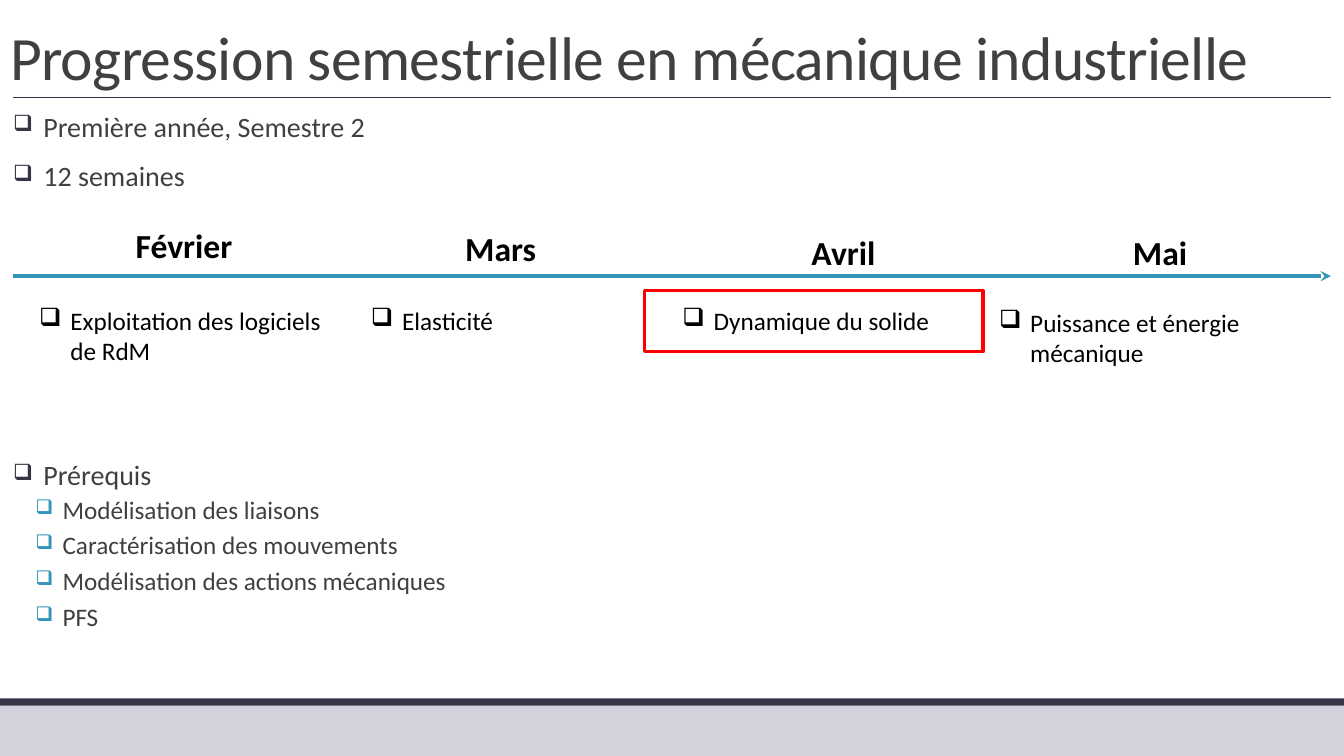
import pptx
import pptx.util
import pptx.dml.color
import pptx.enum.shapes
import pptx.enum.text
import pptx.oxml.ns
from dataclasses import dataclass
from lxml import etree

Inches = pptx.util.Inches
Pt = pptx.util.Pt
Align = pptx.enum.text.PP_ALIGN
Anchor = pptx.enum.text.MSO_ANCHOR
qn = pptx.oxml.ns.qn


@dataclass(frozen=True)
class Theme:
    font: str = "Calibri"
    dark: str = "373545"
    pale: str = "D4D3DD"
    accent: str = "3494BA"
    text: str = "404040"
    black: str = "000000"
    highlight: str = "FF0000"
    title_size: int = 44
    month_size: int = 24
    body_size: int = 20
    small_size: int = 18


THEME = Theme()
LEFT, RIGHT, WIDTH = 0.13, 13.2, 13.33
MONTH_WIDTH, TOPIC_WIDTH = 3.39, 3.08

# Month, its left and top, then its topic with left, top and height
MONTHS = [
    ("Février", 0.13, 2.18, "Exploitation des logiciels de RdM", 0.29, 2.98, 0.71),
    ("Mars", 3.27, 2.21, "Elasticité", 3.58, 2.98, 0.4),
    ("Avril", 6.67, 2.25, "Dynamique du solide", 6.67, 2.98, 0.4),
    ("Mai", 9.81, 2.25, "Puissance et énergie mécanique", 9.81, 3.0, 0.71),
]
PREREQUISITES = [
    "Modélisation des liaisons",
    "Caractérisation des mouvements",
    "Modélisation des actions mécaniques",
    "PFS",
]


def color(code):
    return pptx.dml.color.RGBColor.from_string(code)


def add_span(para, text, size, code, bold=False):
    span = para.add_run()
    span.text = text
    span.font.name = THEME.font
    span.font.size = Pt(size)
    span.font.bold = bold
    span.font.color.rgb = color(code)
    return span


def set_bullet(para, margin, hanging, code, percent=100):
    properties = para._p.get_or_add_pPr()
    properties.set("marL", str(Inches(margin)))
    properties.set("indent", str(-Inches(hanging)))
    bullet_color = etree.SubElement(properties, qn("a:buClr"))
    etree.SubElement(bullet_color, qn("a:srgbClr")).set("val", code)
    etree.SubElement(properties, qn("a:buSzPct")).set("val", str(percent * 1000))
    etree.SubElement(properties, qn("a:buChar")).set("char", "❑")


def add_text_box(page, left, top, width, height):
    frame = page.shapes.add_textbox(
        Inches(left), Inches(top), Inches(width), Inches(height)).text_frame
    frame.word_wrap = True
    return frame


def add_outline(page, top, height, items):
    """Add a bulleted list of (level, text) pairs."""
    frame = add_text_box(page, LEFT, top, 13.08, height)
    frame.margin_left = frame.margin_right = 0
    for index, (level, text) in enumerate(items):
        para = frame.add_paragraph() if index else frame.paragraphs[0]
        para.level = level
        para.line_spacing = 0.9
        if level:
            para.space_before, para.space_after = Pt(2), Pt(4)
            set_bullet(para, 0.49, 0.27, THEME.accent, 80)
            add_span(para, text, THEME.small_size, THEME.text)
        else:
            para.space_before, para.space_after = Pt(12), Pt(2)
            set_bullet(para, 0.3, 0.3, THEME.dark, 80)
            add_span(para, text, THEME.body_size, THEME.text)


def add_month(page, name, left, top):
    para = add_text_box(page, left, top, MONTH_WIDTH, 0.5).paragraphs[0]
    para.alignment = Align.CENTER
    add_span(para, name, THEME.month_size, THEME.black, bold=True)


def add_topic(page, text, left, top, height):
    para = add_text_box(page, left, top, TOPIC_WIDTH, height).paragraphs[0]
    set_bullet(para, 0.31, 0.31, THEME.black)
    add_span(para, text, THEME.small_size, THEME.black)


def add_rectangle(page, left, top, width, height, fill=None, line=None):
    box = page.shapes.add_shape(
        pptx.enum.shapes.MSO_SHAPE.RECTANGLE,
        Inches(left), Inches(top), Inches(width), Inches(height))
    box.shadow.inherit = False
    if fill:
        box.fill.solid()
        box.fill.fore_color.rgb = color(fill)
    else:
        box.fill.background()
    if line:
        box.line.color.rgb = color(line)
        box.line.width = Pt(2.25)
    else:
        box.line.fill.background()


def add_horizontal_line(page, top, code, width, arrow=False):
    line = page.shapes.add_connector(
        pptx.enum.shapes.MSO_CONNECTOR.STRAIGHT,
        Inches(LEFT), Inches(top), Inches(RIGHT), Inches(top))
    line.line.color.rgb = color(code)
    line.line.width = Pt(width)
    properties = line._element.spPr
    if arrow:
        etree.SubElement(properties.find(qn("a:ln")), qn("a:tailEnd")).set("type", "stealth")
    etree.SubElement(properties, qn("a:effectLst"))


def set_title(page, text):
    title = page.shapes.title
    title.left, title.top = Inches(0), Inches(0)
    title.width, title.height = Inches(WIDTH), Inches(0.97)
    frame = title.text_frame
    frame.word_wrap = True
    frame.auto_size = pptx.enum.text.MSO_AUTO_SIZE.NONE
    frame.vertical_anchor = Anchor.BOTTOM
    para = frame.paragraphs[0]
    para.alignment = Align.LEFT
    para.line_spacing = 0.85
    span = add_span(para, text, THEME.title_size, THEME.text)
    span.font._element.set("spc", "-50")


def main():
    deck = pptx.Presentation()
    deck.slide_width, deck.slide_height = Inches(WIDTH), Inches(7.5)
    page = deck.slides.add_slide(deck.slide_layouts[5])

    add_rectangle(page, 0, 7, WIDTH, 0.5, fill=THEME.pale)
    add_rectangle(page, 0, 6.93, WIDTH, 0.07, fill=THEME.dark)
    add_horizontal_line(page, 0.97, THEME.dark, 0.5)
    set_title(page, "Progression semestrielle en mécanique industrielle")

    add_outline(page, 1.07, 0.95, [(0, "Première année, Semestre 2"), (0, "12 semaines")])
    add_outline(page, 4.53, 1.9,
                [(0, "Prérequis")] + [(1, text) for text in PREREQUISITES])

    add_horizontal_line(page, 2.74, THEME.accent, 2.5, arrow=True)
    for name, left, top, topic, topic_left, topic_top, topic_height in MONTHS:
        add_month(page, name, left, top)
        add_topic(page, topic, topic_left, topic_top, topic_height)
    add_rectangle(page, 6.39, 2.88, 3.36, 0.61, line=THEME.highlight)

    deck.save("out.pptx")


if __name__ == "__main__":
    main()
